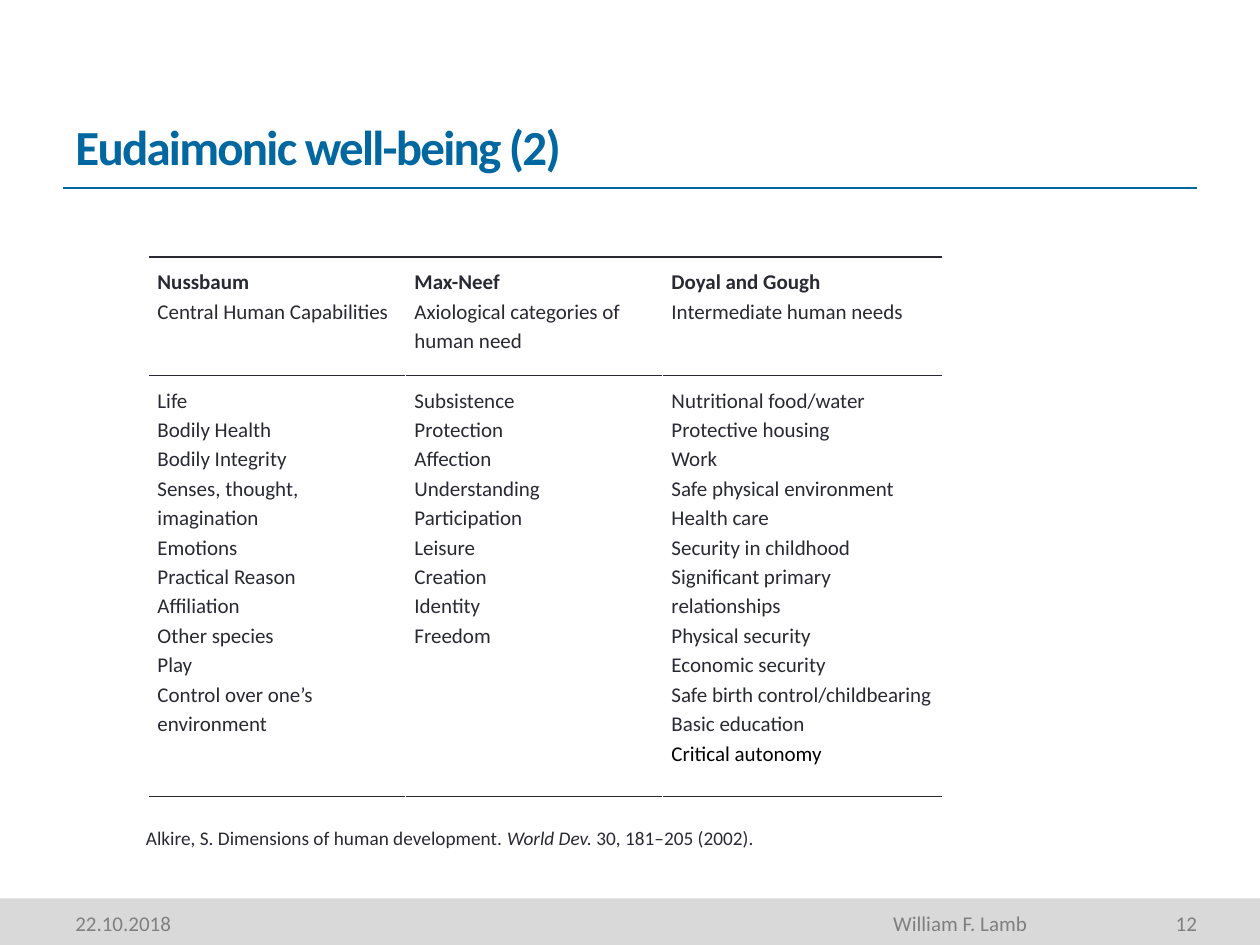
"""Build the slide comparing three lists of human needs."""
from lxml import etree
from pptx import Presentation
from pptx.dml.color import RGBColor
from pptx.enum import shapes, text
from pptx.oxml import ns
from pptx.util import Inches, Pt

FONT = "Calibri"
BLUE, INK, GREY, BAND, WHITE, BLACK = "0067A1", "292934", "7F7F7F", "D9D9D9", "FFFFFF", "000000"
TITLE = "Eudaimonic well-being (2)"
CITATION = [
    ("Alkire, S. Dimensions of human development. ", {}),
    ("World Dev.", {"italic": True}),
    (" 30, 181–205 (2002).", {}),
]
THEORIES = [
    ("Nussbaum", "Central Human Capabilities", [
        "Life", "Bodily Health", "Bodily Integrity", "Senses, thought, imagination",
        "Emotions", "Practical Reason", "Affiliation", "Other species", "Play",
        "Control over one’s environment"]),
    ("Max-Neef", "Axiological categories of human need", [
        "Subsistence", "Protection", "Affection", "Understanding", "Participation",
        "Leisure", "Creation", "Identity", "Freedom"]),
    ("Doyal and Gough", "Intermediate human needs", [
        "Nutritional food/water", "Protective housing", "Work",
        "Safe physical environment", "Health care", "Security in childhood",
        "Significant primary relationships", "Physical security", "Economic security",
        "Safe birth control/childbearing", "Basic education",
        ("Critical autonomy", {"color": BLACK})]),
]
COLUMN_WIDTHS = [2.04, 2.04, 2.22]
ROW_HEIGHTS = [0.94, 3.34]
CELL_MARGIN = 0.07
LEFT, ANCHOR, RIGHT = text.PP_ALIGN.LEFT, text.MSO_ANCHOR, text.PP_ALIGN.RIGHT
FOOTER = [
    ("22.10.2018", (0.5, 7.15, 3.17, 0.36), {"color": "808080"}),
    ("William F. Lamb", (3.75, 7.15, 4.5, 0.36), {"align": RIGHT}),
    ("12", (8.33, 7.15, 1.17, 0.35), {"align": RIGHT, "right": 0}),
]


def rgb(color):
    return RGBColor.from_string(color)


def write(frame, paragraphs, align=LEFT, spacing=None, **base):
    """Fill a frame; each paragraph is a string, a (string, format) pair or a list of pairs."""
    frame.word_wrap = True
    for index, content in enumerate(paragraphs):
        paragraph = frame.add_paragraph() if index else frame.paragraphs[0]
        paragraph.alignment = align
        if spacing:
            paragraph.line_spacing = spacing
        if isinstance(content, str):
            content = (content, {})
        for words, changes in content if isinstance(content, list) else [content]:
            style = {"size": 12, "color": INK, "bold": False, "italic": False, **base, **changes}
            run = paragraph.add_run()
            run.text = words
            font = run.font
            font.name, font.size = FONT, Pt(style["size"])
            font.bold, font.italic = style["bold"], style["italic"]
            font.color.rgb = rgb(style["color"])
            if "tracking" in style:
                font._element.set("spc", str(style["tracking"] * 100))


def add_text(slide, box, paragraphs, anchor=ANCHOR.TOP, right=0.1, **style):
    frame = slide.shapes.add_textbox(*map(Inches, box)).text_frame
    frame.vertical_anchor = anchor
    frame.margin_right = Inches(right)
    write(frame, paragraphs, **style)


def set_borders(cell, colors):
    properties = cell._tc.get_or_add_tcPr()
    for index, (side, color) in enumerate(colors.items()):
        line = etree.Element(ns.qn(f"a:ln{side}"), w=str(Pt(1 if color else 0)))
        if color:
            fill = etree.SubElement(line, ns.qn("a:solidFill"))
            etree.SubElement(fill, ns.qn("a:srgbClr"), val=color)
        else:
            etree.SubElement(line, ns.qn("a:noFill"))
        properties.insert(index, line)


def fill_cell(cell, paragraphs, side_color):
    cell.fill.solid()
    cell.fill.fore_color.rgb = rgb(WHITE)
    cell.margin_left = cell.margin_right = Inches(CELL_MARGIN)
    cell.margin_top = cell.margin_bottom = Inches(CELL_MARGIN)
    write(cell.text_frame, paragraphs, spacing=1.15)
    set_borders(cell, {"L": side_color, "R": side_color, "T": INK, "B": INK})


def add_needs_table(slide):
    size = sum(COLUMN_WIDTHS), sum(ROW_HEIGHTS)
    needs = slide.shapes.add_table(
        len(ROW_HEIGHTS), len(THEORIES), *map(Inches, (1.18, 2.04, *size))).table
    needs.first_row = needs.horz_banding = False
    for row, height in zip(needs.rows, ROW_HEIGHTS):
        row.height = Inches(height)
    for index, (author, concept, items) in enumerate(THEORIES):
        needs.columns[index].width = Inches(COLUMN_WIDTHS[index])
        fill_cell(needs.cell(0, index), [(author, {"bold": True}), concept], None)
        fill_cell(needs.cell(1, index), items, WHITE)


def add_frame(slide):
    band = slide.shapes.add_shape(
        shapes.MSO_SHAPE.RECTANGLE, *map(Inches, (0, 7.13, 10, 0.4)))
    band.shadow.inherit = False
    band.fill.solid()
    band.fill.fore_color.rgb = rgb(BAND)
    band.line.fill.background()
    rule = slide.shapes.add_connector(
        shapes.MSO_CONNECTOR.STRAIGHT, *map(Inches, (0.5, 1.49, 9.5, 1.49)))
    rule.line.color.rgb = rgb(BLUE)
    rule.line.width = Pt(1)
    etree.SubElement(rule._element.spPr, ns.qn("a:effectLst"))
    for words, box, style in FOOTER:
        add_text(slide, box, [words], anchor=ANCHOR.MIDDLE, **{"color": GREY, **style})


def main():
    deck = Presentation()
    deck.slide_width, deck.slide_height = Inches(10), Inches(7.5)
    slide = deck.slides.add_slide(deck.slide_layouts[6])
    add_frame(slide)
    add_text(slide, (0.5, 0.36, 9, 1.08), [TITLE], anchor=ANCHOR.BOTTOM,
             size=28, color=BLUE, bold=True, tracking=-1)
    add_needs_table(slide)
    add_text(slide, (1.06, 6.51, 8.94, 0.29), [CITATION], size=11)
    deck.save("out.pptx")


if __name__ == "__main__":
    main()
